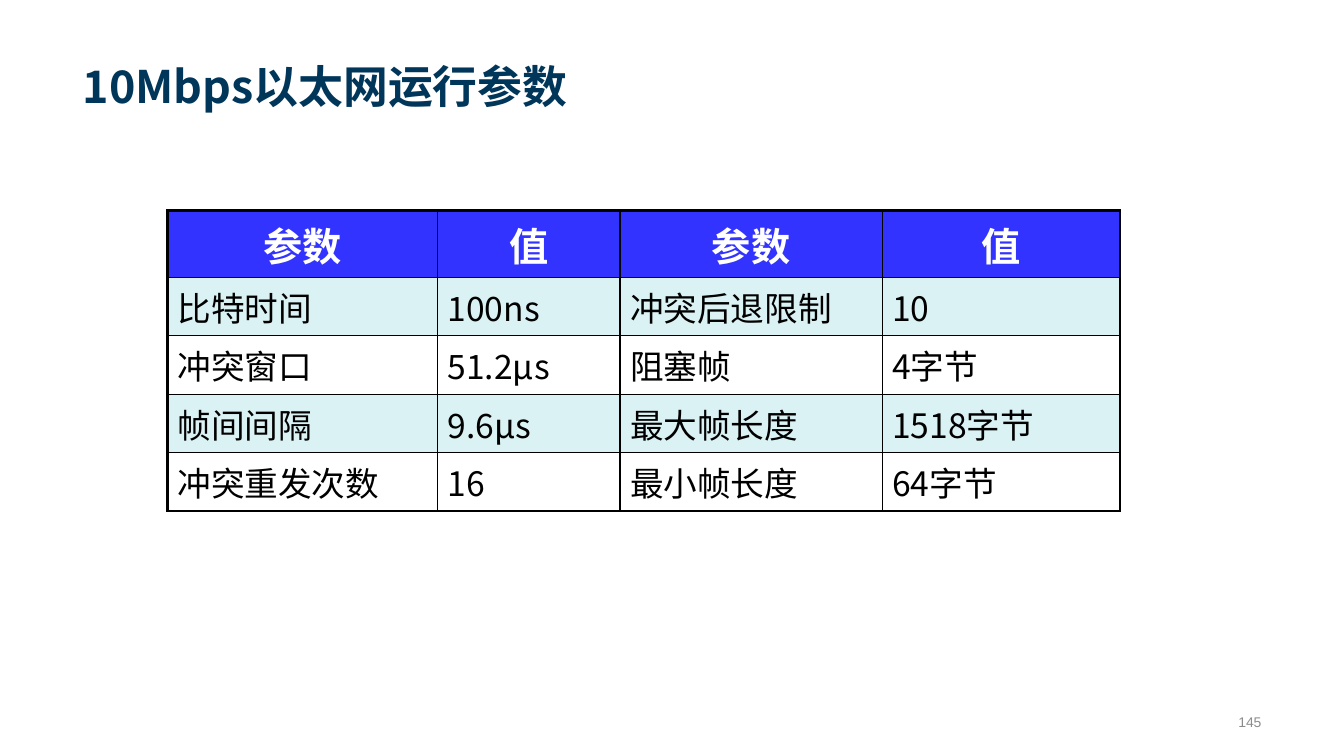
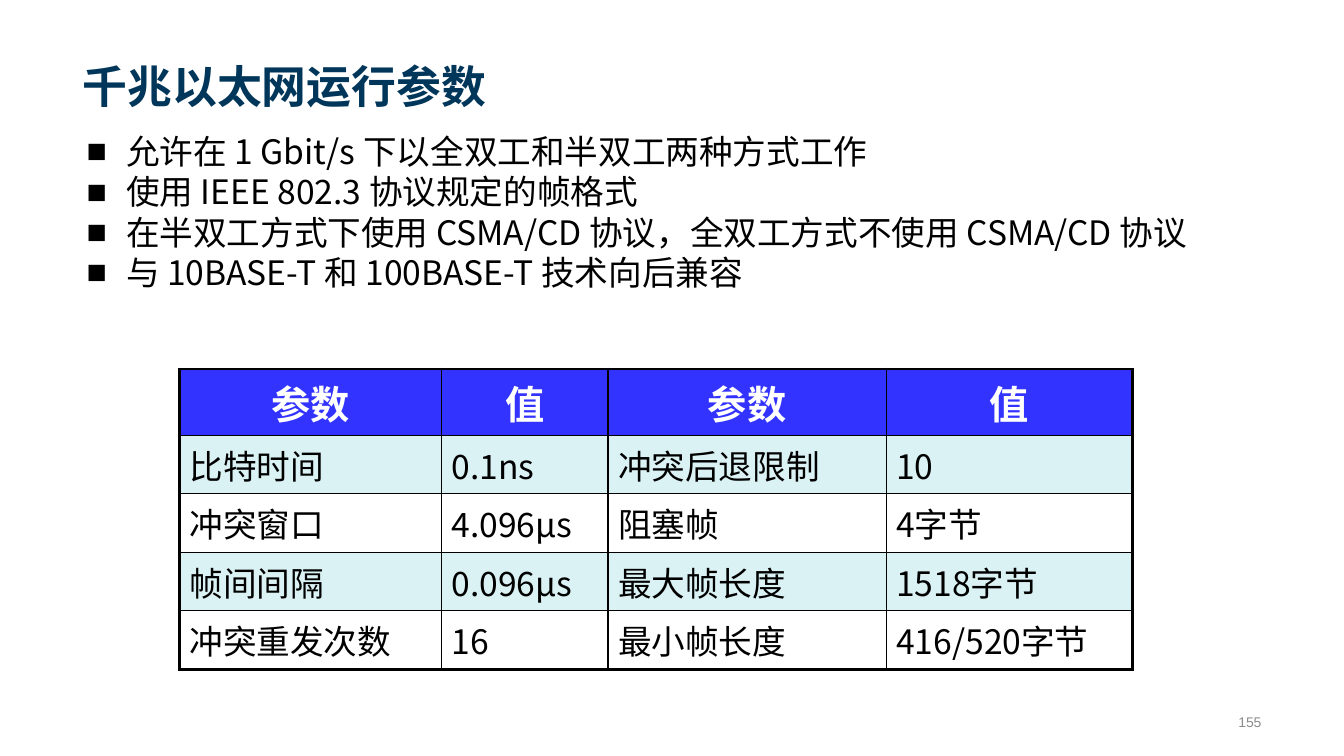
from lxml import etree
from pptx import Presentation
from pptx.dml.color import RGBColor
from pptx.enum import text
from pptx.oxml import ns
from pptx.util import Inches, Pt

NAVY = RGBColor(0x00, 0x36, 0x59)
BLUE = RGBColor(0x33, 0x33, 0xFF)
PALE = RGBColor(0xDA, 0xF2, 0xF4)
WHITE = RGBColor(0xFF, 0xFF, 0xFF)
BLACK = RGBColor(0x00, 0x00, 0x00)
GRAY = RGBColor(0x8C, 0x8C, 0x8C)
CJK_FONT = "Noto Sans CJK SC"
NUMBER_FONT = "Arial"
THIN, THICK = Pt(1), Pt(2.25)
HEADER_HEIGHT, ROW_HEIGHT = 0.66, 0.58
HEADER = ["参数", "值", "参数", "值"]
TITLE_ONLY, TITLE_AND_CONTENT = 5, 1


def place(shape, left, top, width, height):
    shape.left, shape.top = Inches(left), Inches(top)
    shape.width, shape.height = Inches(width), Inches(height)


def add_span(para, words, size, color, bold=False, font=CJK_FONT):
    span = para.add_run()
    span.text = words
    span.font.size = Pt(size)
    span.font.bold = bold
    span.font.color.rgb = color
    span.font.name = font
    properties = span.font._element
    east_asian = etree.SubElement(properties, ns.qn("a:ea"))
    east_asian.set("typeface", font)


def set_title(page, words):
    box = page.shapes.title
    place(box, 0.72, 0.14, 11.88, 0.98)
    frame = box.text_frame
    frame.auto_size = text.MSO_AUTO_SIZE.NONE
    frame.vertical_anchor = text.MSO_ANCHOR.BOTTOM
    frame.margin_bottom = 0
    para = frame.paragraphs[0]
    para.alignment = text.PP_ALIGN.LEFT
    add_span(para, words, 32, NAVY, bold=True)


def add_page_number(page, number):
    box = page.shapes.add_textbox(0, 0, 0, 0)
    place(box, 11.73, 7.01, 0.88, 0.3)
    frame = box.text_frame
    frame.word_wrap = True
    frame.vertical_anchor = text.MSO_ANCHOR.MIDDLE
    para = frame.paragraphs[0]
    para.alignment = text.PP_ALIGN.RIGHT
    add_span(para, str(number), 10, GRAY, font=NUMBER_FONT)


def add_page(deck, layout, title, number):
    page = deck.slides.add_slide(deck.slide_layouts[layout])
    set_title(page, title)
    add_page_number(page, number)
    return page


def add_square_bullet(para):
    properties = para._p.get_or_add_pPr()
    properties.set("marL", str(Inches(0.39)))
    properties.set("indent", str(-Inches(0.39)))
    etree.SubElement(properties, ns.qn("a:buFont")).set("typeface", NUMBER_FONT)
    etree.SubElement(properties, ns.qn("a:buChar")).set("char", "■")


def set_bullets(page, items):
    box = page.placeholders[1]
    place(box, 0.76, 1.25, 11.85, 2)
    frame = box.text_frame
    frame.auto_size = text.MSO_AUTO_SIZE.NONE
    for index, item in enumerate(items):
        para = frame.add_paragraph() if index else frame.paragraphs[0]
        add_square_bullet(para)
        para.space_before = Pt(0)
        para.line_spacing = 1.0
        add_span(para, item, 24, BLACK)


def add_border(cell, side, width):
    line = etree.SubElement(cell._tc.get_or_add_tcPr(), ns.qn(f"a:ln{side}"))
    line.set("w", str(width))
    fill = etree.SubElement(line, ns.qn("a:solidFill"))
    etree.SubElement(fill, ns.qn("a:srgbClr")).set("val", str(BLACK))


def fill_cell(cell, words, row):
    if row == 0:
        color, size, fill = WHITE, 28, BLUE
    else:
        color, size, fill = BLACK, 24, PALE if row % 2 else None
    if fill is None:
        cell.fill.background()
    else:
        cell.fill.solid()
        cell.fill.fore_color.rgb = fill
    para = cell.text_frame.paragraphs[0]
    para.alignment = text.PP_ALIGN.LEFT if row else text.PP_ALIGN.CENTER
    add_span(para, words, size, color, bold=row == 0)


def add_parameter_table(page, left, top, widths, body):
    rows = [HEADER] + body
    last_row, last_column = len(rows) - 1, len(widths) - 1
    height = HEADER_HEIGHT + ROW_HEIGHT * last_row
    table = page.shapes.add_table(
        len(rows), len(widths), Inches(left), Inches(top),
        Inches(sum(widths)), Inches(height)).table
    table.first_row = table.horz_banding = False
    for column, width in zip(table.columns, widths):
        column.width = Inches(width)
    for row, values in enumerate(rows):
        table.rows[row].height = Inches(ROW_HEIGHT if row else HEADER_HEIGHT)
        for column, words in enumerate(values):
            cell = table.cell(row, column)
            outer_sides = {"L": column == 0, "R": column == last_column,
                           "T": row == 0, "B": row == last_row}
            for side, outer in outer_sides.items():
                add_border(cell, side, THICK if outer else THIN)
            fill_cell(cell, words, row)


def parameter_rows(bit_time, window, gap, shortest_frame):
    return [
        ["比特时间", bit_time, "冲突后退限制", "10"],
        ["冲突窗口", window, "阻塞帧", "4字节"],
        ["帧间间隔", gap, "最大帧长度", "1518字节"],
        ["冲突重发次数", "16", "最小帧长度", shortest_frame],
    ]


def main():
    deck = Presentation()
    deck.slide_width, deck.slide_height = Inches(13.33), Inches(7.5)

    page = add_page(deck, TITLE_ONLY, "10Mbps以太网运行参数", 145)
    add_parameter_table(page, 1.66, 2.09, [2.68, 1.81, 2.6, 2.36],
                        parameter_rows("100ns", "51.2μs", "9.6μs", "64字节"))

    page = add_page(deck, TITLE_AND_CONTENT, "千兆以太网运行参数", 155)
    set_bullets(page, [
        "允许在 1 Gbit/s 下以全双工和半双工两种方式工作",
        "使用 IEEE 802.3 协议规定的帧格式",
        "在半双工方式下使用 CSMA/CD 协议，全双工方式不使用 CSMA/CD 协议",
        "与 10BASE-T 和 100BASE-T 技术向后兼容",
    ])
    add_parameter_table(page, 1.78, 3.66, [2.6, 1.65, 2.76, 2.44],
                        parameter_rows("0.1ns", "4.096μs", "0.096μs", "416/520字节"))

    deck.save("out.pptx")


if __name__ == "__main__":
    main()
